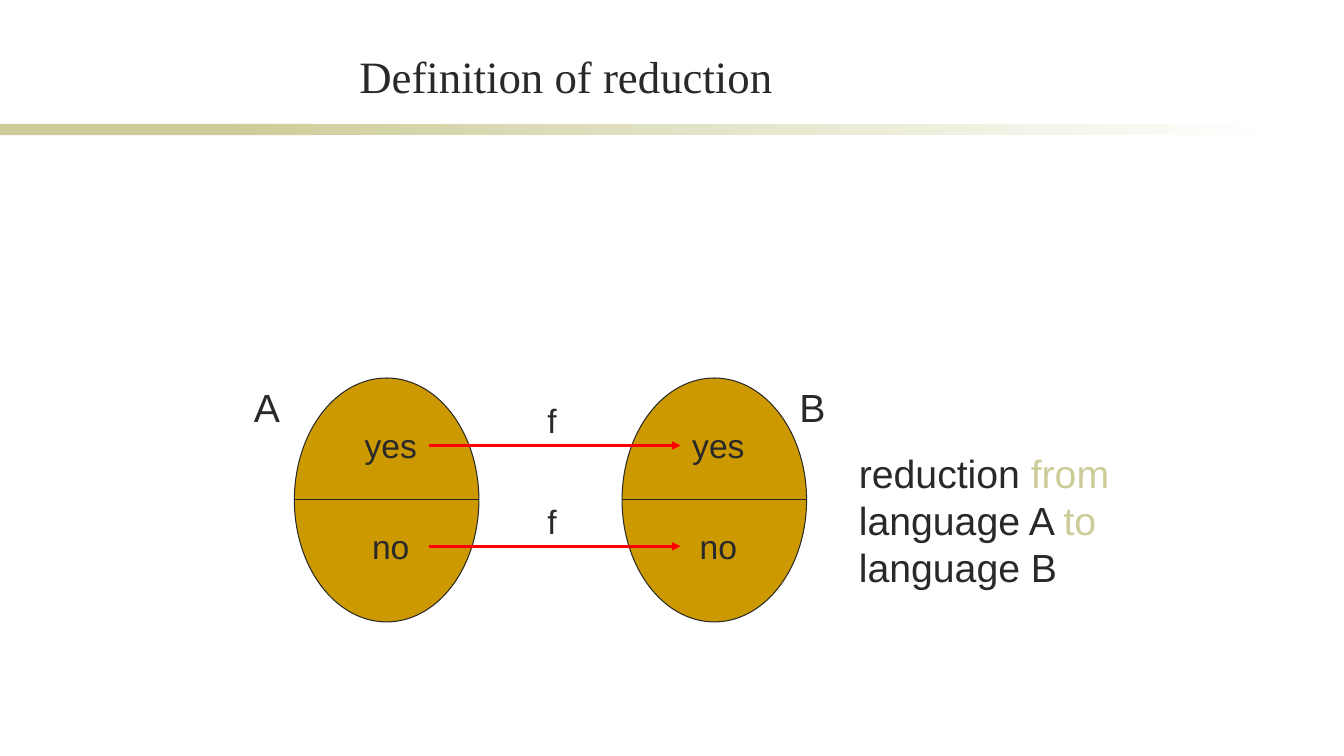
import pptx
import pptx.util
import pptx.dml.color
import pptx.enum.shapes
import pptx.enum.text
import pptx.oxml.ns
import lxml.etree

Inches = pptx.util.Inches
RGBColor = pptx.dml.color.RGBColor
SHAPE = pptx.enum.shapes.MSO_SHAPE
ALIGN = pptx.enum.text.PP_ALIGN
ANCHOR = pptx.enum.text.MSO_ANCHOR

INK = RGBColor(0x29, 0x29, 0x29)
SAND = RGBColor(0xCC, 0xCC, 0x99)
GOLD = RGBColor(0xCC, 0x99, 0x00)
RED = RGBColor(0xFF, 0x00, 0x00)
WHITE = RGBColor(0xFF, 0xFF, 0xFF)


def add_text(s, text, x, y, w, h, size=24, font="Arial", align=ALIGN.LEFT,
             anchor=ANCHOR.TOP, accents=()):
    """Add a text box, colouring the words listed in accents."""
    tf = s.shapes.add_textbox(Inches(x), Inches(y), Inches(w), Inches(h)).text_frame
    tf.word_wrap = True
    tf.vertical_anchor = anchor
    p = tf.paragraphs[0]
    p.alignment = align
    pieces = [text]
    for word in accents:
        pieces[-1:] = pieces[-1].partition(word)
    for piece in pieces:
        r = p.add_run()
        r.text = piece
        r.font.size = pptx.util.Pt(size)
        r.font.name = font
        r.font.color.rgb = SAND if piece in accents else INK


def add_filled(s, kind, x, y, w, h, color, line=None, fade=None):
    """Add a preset shape with a solid fill or a fade to a second colour."""
    sp = s.shapes.add_shape(kind, Inches(x), Inches(y), Inches(w), Inches(h))
    sp.shadow.inherit = False
    if fade is None:
        sp.fill.solid()
        sp.fill.fore_color.rgb = color
    else:
        sp.fill.gradient()
        sp.fill.gradient_angle = 0
        for stop, rgb in zip(sp.fill.gradient_stops, (color, fade)):
            stop.color.rgb = rgb
    if line is None:
        sp.line.fill.background()
    else:
        sp.line.color.rgb = line
        sp.line.width = pptx.util.Pt(0.75)


def add_line(s, x1, x2, y, color, width, arrow=False):
    """Add a horizontal line, with an arrowhead at its end if asked."""
    c = s.shapes.add_connector(pptx.enum.shapes.MSO_CONNECTOR.STRAIGHT,
                               Inches(x1), Inches(y), Inches(x2), Inches(y))
    c.line.color.rgb = color
    c.line.width = pptx.util.Pt(width)
    qn = pptx.oxml.ns.qn
    if arrow:
        lxml.etree.SubElement(c.line._get_or_add_ln(), qn("a:tailEnd"), type="triangle")
    lxml.etree.SubElement(c._element.spPr, qn("a:effectLst"))


def add_language(s, x):
    """Add a language as an ellipse split into yes and no halves."""
    add_filled(s, SHAPE.OVAL, x, 3.75, 1.83, 2.42, GOLD, line=INK)
    add_line(s, x, x + 1.83, 4.96, INK, 0.75)
    for i, answer in enumerate(("yes", "no")):
        add_text(s, answer, x + 0.58, 4.17 + i, 0.75, 0.5, align=ALIGN.CENTER)


def main():
    """Build the slide and save it."""
    prs = pptx.Presentation()
    prs.slide_width, prs.slide_height = Inches(13.33), Inches(7.5)
    s = prs.slides.add_slide(prs.slide_layouts[6])

    add_filled(s, SHAPE.RECTANGLE, 0, 1.23, 3.11, 0.11, SAND)
    add_filled(s, SHAPE.RECTANGLE, 2.11, 1.23, 10.56, 0.11, SAND, fade=WHITE)
    add_text(s, "Definition of reduction", 1.52, 0.44, 8.19, 0.63, size=32,
             font="Times New Roman", align=ALIGN.CENTER, anchor=ANCHOR.BOTTOM)

    for x in (2.92, 6.17):
        add_language(s, x)
    for y in (4.42, 5.42):
        add_line(s, 4.25, 6.75, y, RED, 2, arrow=True)
        add_text(s, "f", 5.33, y - 0.5, 0.58, 0.5)
    for name, x in (("A", 2.42), ("B", 7.83)):
        add_text(s, name, x, 3.75, 0.58, 0.57, size=28)
    add_text(s, "reduction from language A to language B", 8.42, 4.41, 2.75, 1.5,
             size=28, accents=("from", "to"))

    prs.save("out.pptx")


if __name__ == "__main__":
    main()
